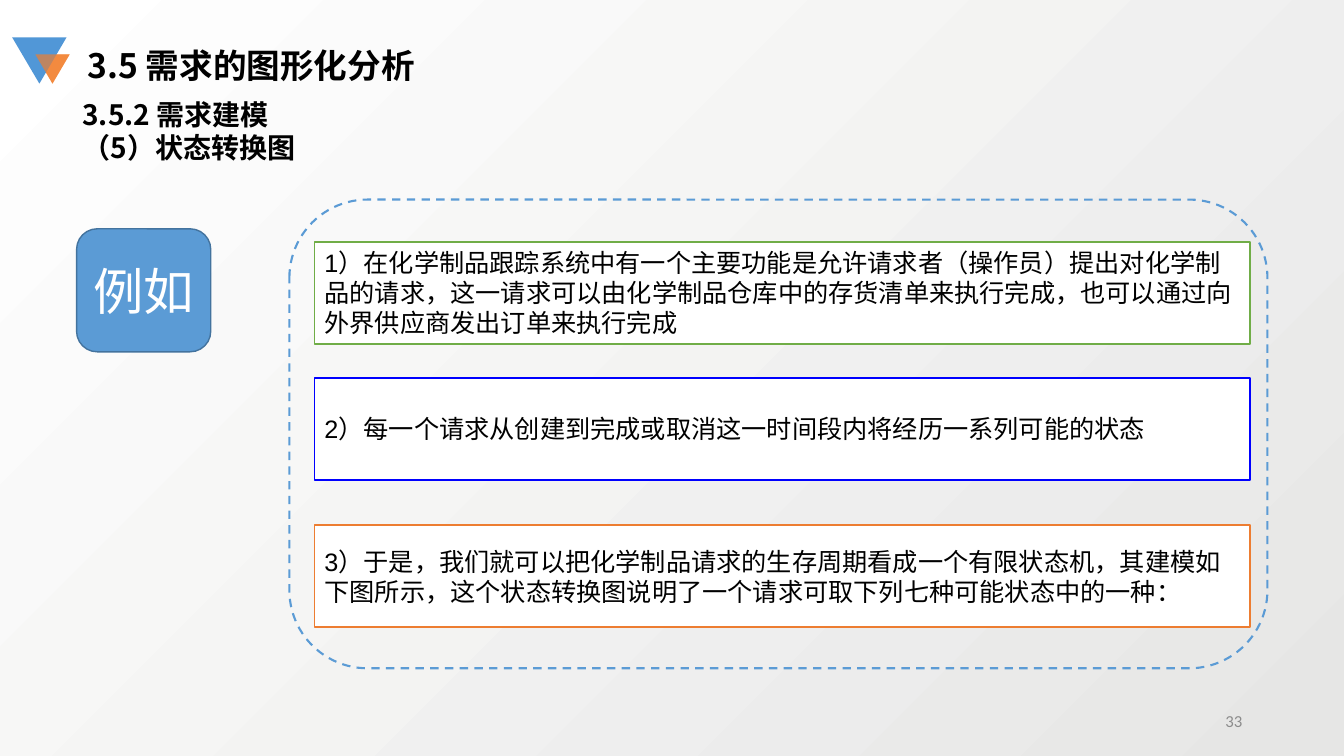
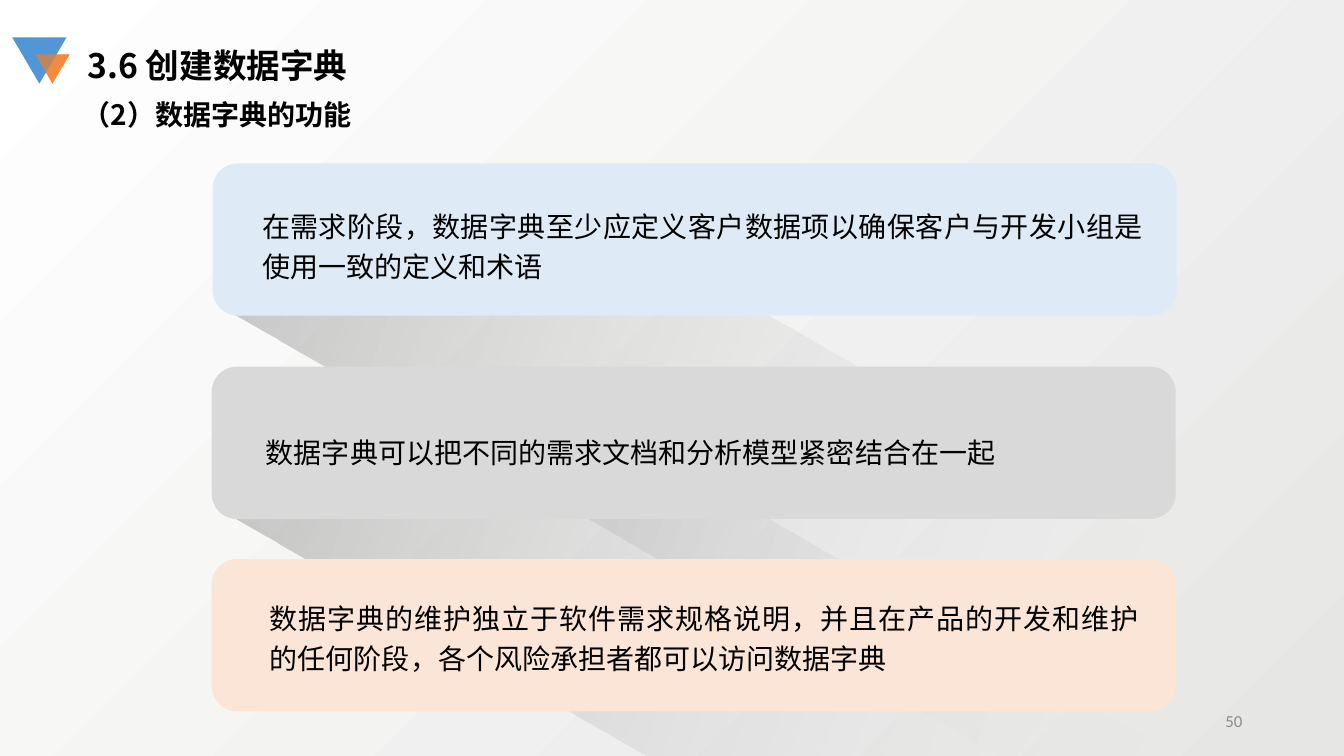
from dataclasses import dataclass

from lxml.etree import SubElement
from pptx import Presentation
from pptx.dml.color import RGBColor
from pptx.enum.dml import MSO_LINE
from pptx.enum.shapes import MSO_SHAPE
from pptx.enum.text import MSO_ANCHOR, MSO_AUTO_SIZE, PP_ALIGN
from pptx.oxml.ns import qn
from pptx.util import Inches, Pt

SLIDE_W, SLIDE_H = Inches(13.33), Inches(7.5)
CJK, LATIN, NUMERIC = "Noto Sans CJK SC", "Arial", "Calibri"
BLACK, WHITE, GREY = "000000", "FFFFFF", "8C8C8C"
BLUE, BLUE_EDGE = "5B9BD5", "43739E"
MARK_BLUE, MARK_ORANGE = "5197D7", "F37D2A"
BACKDROP = ("E6E6E5", "FFFFFF")


@dataclass
class Box:
    """A region in percent of the slide's width and height."""
    x: float
    y: float
    w: float
    h: float

    def inner(self, x, y, w, h):
        """A region in percent of this one."""
        return Box(self.x + self.w * x / 100, self.y + self.h * y / 100,
                   self.w * w / 100, self.h * h / 100)

    def emu(self):
        return (across(self.x), down(self.y), across(self.w), down(self.h))


PAGE = Box(0, 0, 100, 100)


def across(percent):
    return int(SLIDE_W * percent / 100)


def down(percent):
    return int(SLIDE_H * percent / 100)


def color(hex_code):
    return RGBColor.from_string(hex_code)


# Shared drawing helpers

def set_alpha(shape, *percents):
    for tint, percent in zip(shape.element.spPr.iter(qn("a:srgbClr")), percents):
        SubElement(tint, qn("a:alpha")).set("val", str(percent * 1000))


def set_gradient(fill, colors, clockwise):
    fill.gradient()
    fill.gradient_angle = 360 - clockwise
    for stop, hex_code in zip(fill.gradient_stops, colors):
        stop.color.rgb = color(hex_code)


def add_panel(slide, kind, box, fill=None, line=None, width=1):
    panel = slide.shapes.add_shape(kind, *box.emu())
    panel.shadow.inherit = False
    if fill:
        panel.fill.solid()
        panel.fill.fore_color.rgb = color(fill)
    else:
        panel.fill.background()
    if line:
        panel.line.color.rgb = color(line)
        panel.line.width = Pt(width)
    else:
        panel.line.fill.background()
    return panel


def write(shape, text, size, font=CJK, ink=BLACK, bold=False,
          align=PP_ALIGN.LEFT, anchor=MSO_ANCHOR.TOP, spacing=None):
    frame = shape.text_frame
    frame.word_wrap = True
    frame.vertical_anchor = anchor
    frame.text = text
    for paragraph in frame.paragraphs:
        paragraph.alignment = align
        if spacing:
            paragraph.line_spacing = spacing
        for run in paragraph.runs:
            run.font.size = Pt(size)
            run.font.name = font
            run.font.bold = bold
            run.font.color.rgb = color(ink)
            SubElement(run.font._element, qn("a:ea")).set("typeface", CJK)
    return frame


def add_label(slide, box, text, size, **style):
    return write(slide.shapes.add_textbox(*box.emu()), text, size, **style)


# Elements on every slide

def add_mark(slide, box):
    back = box.inner(0, 0, 94.74, 100)
    front = box.inner(40.35, 36.96, 59.65, 63.04)
    for place, fill, alpha in ((front, MARK_ORANGE, 68), (back, MARK_BLUE, 100),
                               (front, MARK_ORANGE, 68)):
        triangle = add_panel(slide, MSO_SHAPE.ISOSCELES_TRIANGLE, place, fill)
        triangle.rotation = 180
        set_alpha(triangle, alpha)


def add_header(slide, box, title, subtitle):
    add_label(slide, box.inner(0.6, 0, 99, 43), title, 24, bold=True)
    add_label(slide, box.inner(0, 43, 100, 57), subtitle, 20, bold=True)


def new_slide(prs, title, subtitle, number):
    slide = prs.slides.add_slide(prs.slide_layouts[6])
    set_gradient(slide.background.fill, BACKDROP, 225)
    add_mark(slide, PAGE.inner(0.9, 4.93, 4.28, 6.13))
    add_header(slide, PAGE.inner(5.4, 5.33, 63.7, 16), title, subtitle)
    add_label(slide, PAGE.inner(70.67, 92.67, 22.5, 5.33), number, 12,
              font=NUMERIC, ink=GREY, align=PP_ALIGN.RIGHT,
              anchor=MSO_ANCHOR.MIDDLE)
    return slide


# Example badge and framed statements

def add_badge(slide, box, text):
    badge = add_panel(slide, MSO_SHAPE.ROUNDED_RECTANGLE, box, BLUE, BLUE_EDGE)
    write(badge, text, 36, font=NUMERIC, ink=WHITE, align=PP_ALIGN.CENTER,
          anchor=MSO_ANCHOR.MIDDLE)


def add_statements(slide, box, statements):
    border = add_panel(slide, MSO_SHAPE.ROUNDED_RECTANGLE, box, None, BLUE, 1.5)
    border.line.dash_style = MSO_LINE.DASH
    for top, edge, anchor, text in statements:
        place = box.inner(2.57, top, 95.67, 21.72)
        statement = add_panel(slide, MSO_SHAPE.RECTANGLE, place, WHITE, edge, 1.25)
        write(statement, text, 18, font=LATIN, anchor=anchor)


# Cards with long cast shadows

def add_cast_shadow(slide, card):
    left, top = card.x + 1.3, card.y + card.h - 0.4
    corners = [(across(left + x), down(top + y)) for x, y in
               ((0, 0), (39.7, 0), (68.2, 29.2), (58.3, 59.73))]
    outline = slide.shapes.build_freeform(*corners[0])
    outline.add_line_segments(corners[1:], close=True)
    cast = outline.convert_to_shape()
    cast.shadow.inherit = False
    cast.line.fill.background()
    set_gradient(cast.fill, (BLACK, "F2F2F2"), 20)
    set_alpha(cast, 20, 0)


def add_cards(slide, box, cards):
    places = [box.inner(x, y, 99.9, 27.8) for x, y, *_ in cards]
    for place in places[:-1]:
        add_cast_shadow(slide, place)
    for place, (_, _, fill, text_area, align, spacing, text) in zip(places, cards):
        add_panel(slide, MSO_SHAPE.ROUNDED_RECTANGLE, place, fill)
        frame = add_label(slide, place.inner(*text_area), text, 20,
                          align=align, spacing=spacing)
        frame.auto_size = MSO_AUTO_SIZE.SHAPE_TO_FIT_TEXT


def build_state_slide(prs):
    slide = new_slide(prs, "3.5 需求的图形化分析",
                      "3.5.2 需求建模\n（5）状态转换图", "33")
    add_badge(slide, PAGE.inner(5.7, 30.27, 9.98, 16.27), "例如")
    add_statements(slide, PAGE.inner(21.53, 26.4, 72.77, 62), (
        (9.03, "70AD47", MSO_ANCHOR.TOP,
         "1）在化学制品跟踪系统中有一个主要功能是允许请求者（操作员）提出对化学制品的请求，"
         "这一请求可以由化学制品仓库中的存货清单来执行完成，也可以通过向外界供应商发出订单来执行完成"),
        (38.06, "0000FF", MSO_ANCHOR.MIDDLE,
         "2）每一个请求从创建到完成或取消这一时间段内将经历一系列可能的状态"),
        (69.46, "ED7D31", MSO_ANCHOR.MIDDLE,
         "3）于是，我们就可以把化学制品请求的生存周期看成一个有限状态机，其建模如下图所示，"
         "这个状态转换图说明了一个请求可取下列七种可能状态中的一种："),
    ))


def build_dictionary_slide(prs):
    slide = new_slide(prs, "3.6 创建数据字典", "（2）数据字典的功能", "50")
    add_cards(slide, PAGE.inner(15.75, 21.6, 71.8, 72.5), (
        (0.1, 0, "DEEBF7", (4.1, 22.5, 93.4, 58.3), PP_ALIGN.JUSTIFY, 1.2,
         "在需求阶段，数据字典至少应定义客户数据项以确保客户与开发小组是使用一致的定义和术语"),
        (0, 37.1, "D9D9D9", (4.6, 19.9, 93, 44.4), PP_ALIGN.LEFT, 2.0,
         "数据字典可以把不同的需求文档和分析模型紧密结合在一起"),
        (0, 72.2, "FBE5D6", (5, 19.9, 92.2, 58.3), PP_ALIGN.JUSTIFY, 1.2,
         "数据字典的维护独立于软件需求规格说明，并且在产品的开发和维护的任何阶段，"
         "各个风险承担者都可以访问数据字典"),
    ))


def main():
    prs = Presentation()
    prs.slide_width, prs.slide_height = SLIDE_W, SLIDE_H
    build_state_slide(prs)
    build_dictionary_slide(prs)
    prs.save("out.pptx")


if __name__ == "__main__":
    main()
